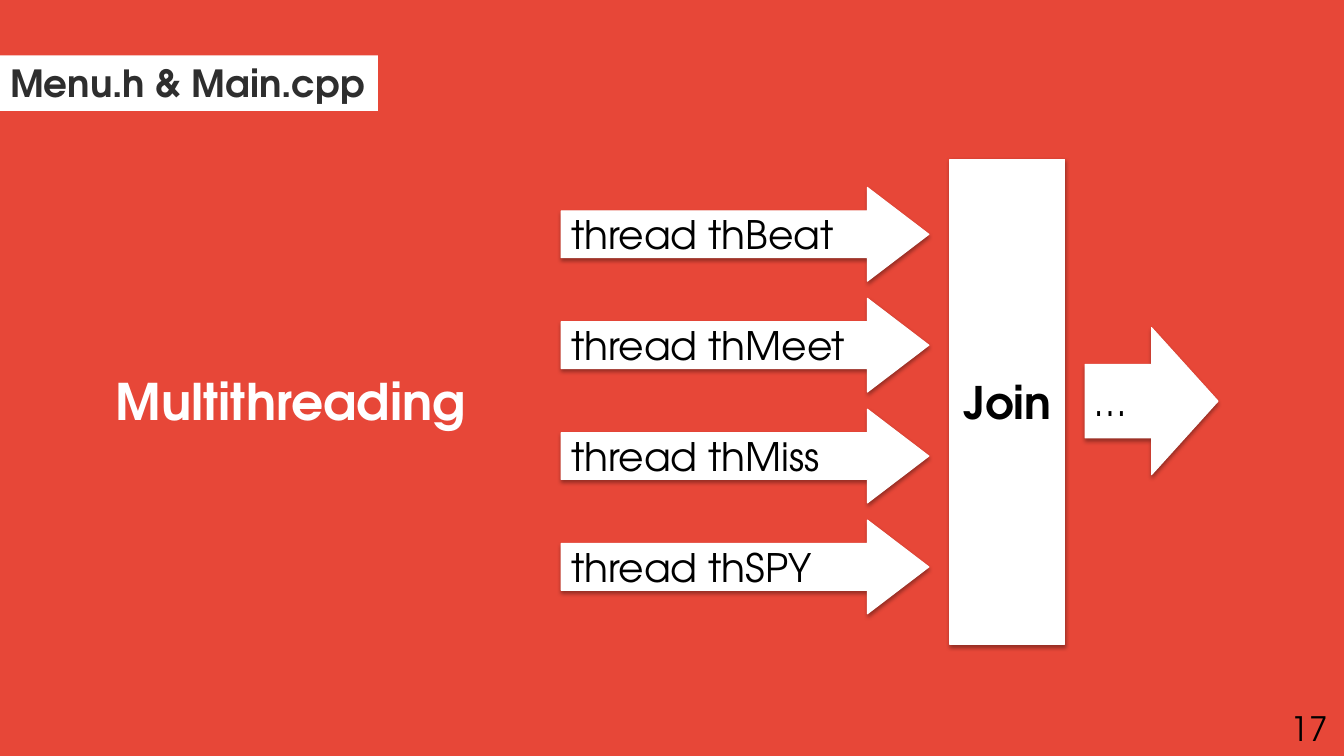
from dataclasses import dataclass

from pptx import Presentation
from pptx.dml.color import RGBColor
from pptx.enum.shapes import MSO_SHAPE as Shape
from pptx.enum.text import MSO_ANCHOR as Anchor, MSO_AUTO_SIZE as AutoSize, PP_ALIGN as Align
from pptx.oxml import parse_xml
from pptx.oxml.ns import nsdecls, qn
from pptx.util import Inches, Pt


@dataclass(frozen=True)
class Theme:
    font: str = "TeX Gyre Adventor"
    background: str = "E74738"
    white: str = "FFFFFF"
    black: str = "000000"
    heading: str = "2E2E2E"
    heading_size: float = 26.7
    topic_size: float = 36
    join_size: float = 32
    label_size: float = 28
    number_size: float = 24


SHADOW = (
    f'<a:outerShdw {nsdecls("a")} blurRad="{Pt(3.1)}" dist="{Pt(1.8)}" '
    'dir="5400000" rotWithShape="0"><a:srgbClr val="000000">'
    '<a:alpha val="35000"/></a:srgbClr></a:outerShdw>'
)


class SlideBuilder:
    def __init__(self, page, theme):
        self.page = page
        self.theme = theme
        fill = page.background.fill
        fill.solid()
        fill.fore_color.rgb = RGBColor.from_string(theme.background)

    def set_text(self, box, text, size, color, bold=False, align=Align.LEFT, anchor=Anchor.TOP):
        frame = box.text_frame
        frame.word_wrap = True
        frame.auto_size = AutoSize.NONE
        frame.vertical_anchor = anchor
        para = frame.paragraphs[0]
        para.text = text
        para.alignment = align
        font = para.font
        font.name = self.theme.font
        font.size = Pt(size)
        font.bold = bold
        font.color.rgb = RGBColor.from_string(color)

    def paint(self, box):
        box.fill.solid()
        box.fill.fore_color.rgb = RGBColor.from_string(self.theme.white)

    def title(self, text, left, top, width, height):
        box = self.page.shapes.title
        box.left, box.top = Inches(left), Inches(top)
        box.width, box.height = Inches(width), Inches(height)
        self.paint(box)
        self.set_text(box, text, self.theme.heading_size, self.theme.heading, bold=True)

    def text(self, text, left, top, width, height, size, color, bold=False):
        box = self.page.shapes.add_textbox(
            Inches(left), Inches(top), Inches(width), Inches(height))
        self.set_text(box, text, size, color, bold)

    def block(self, kind, text, left, top, width, height, size, bold=False, align=Align.LEFT):
        box = self.page.shapes.add_shape(
            kind, Inches(left), Inches(top), Inches(width), Inches(height))
        self.paint(box)
        box.line.color.rgb = RGBColor.from_string(self.theme.white)
        box.line.width = Pt(0.75)
        box.shadow.inherit = False
        box.element.spPr.find(qn("a:effectLst")).append(parse_xml(SHADOW))
        self.set_text(box, text, size, self.theme.black, bold, align, Anchor.MIDDLE)
        return box


def main():
    theme = Theme()
    deck = Presentation()
    deck.slide_width, deck.slide_height = Inches(13.34), Inches(7.5)
    builder = SlideBuilder(deck.slides.add_slide(deck.slide_layouts[5]), theme)

    # Heading and topic
    builder.title("Menu.h & Main.cpp", 0, 0.55, 3.75, 0.55)
    builder.text("Multithreading", 1.05, 3.62, 3.75, 0.71,
                 theme.topic_size, theme.white, bold=True)

    # Threads running in parallel
    for row, name in enumerate(("thBeat", "thMeet", "thMiss", "thSPY")):
        arrow = builder.block(Shape.RIGHT_ARROW, f"thread {name}",
                              5.57, 1.86 + 1.1 * row, 3.65, 0.93, theme.label_size)
        arrow.adjustments[1] = 0.656

    # Join and what follows it
    builder.block(Shape.RECTANGLE, "Join", 9.43, 1.58, 1.14, 4.81,
                  theme.join_size, bold=True, align=Align.CENTER)
    builder.block(Shape.RIGHT_ARROW, "…", 10.77, 3.25, 1.32, 1.46, theme.label_size)

    # Page number
    builder.text("17", 12.71, 6.97, 0.62, 0.5, theme.number_size, theme.black)

    deck.save("out.pptx")


if __name__ == "__main__":
    main()
